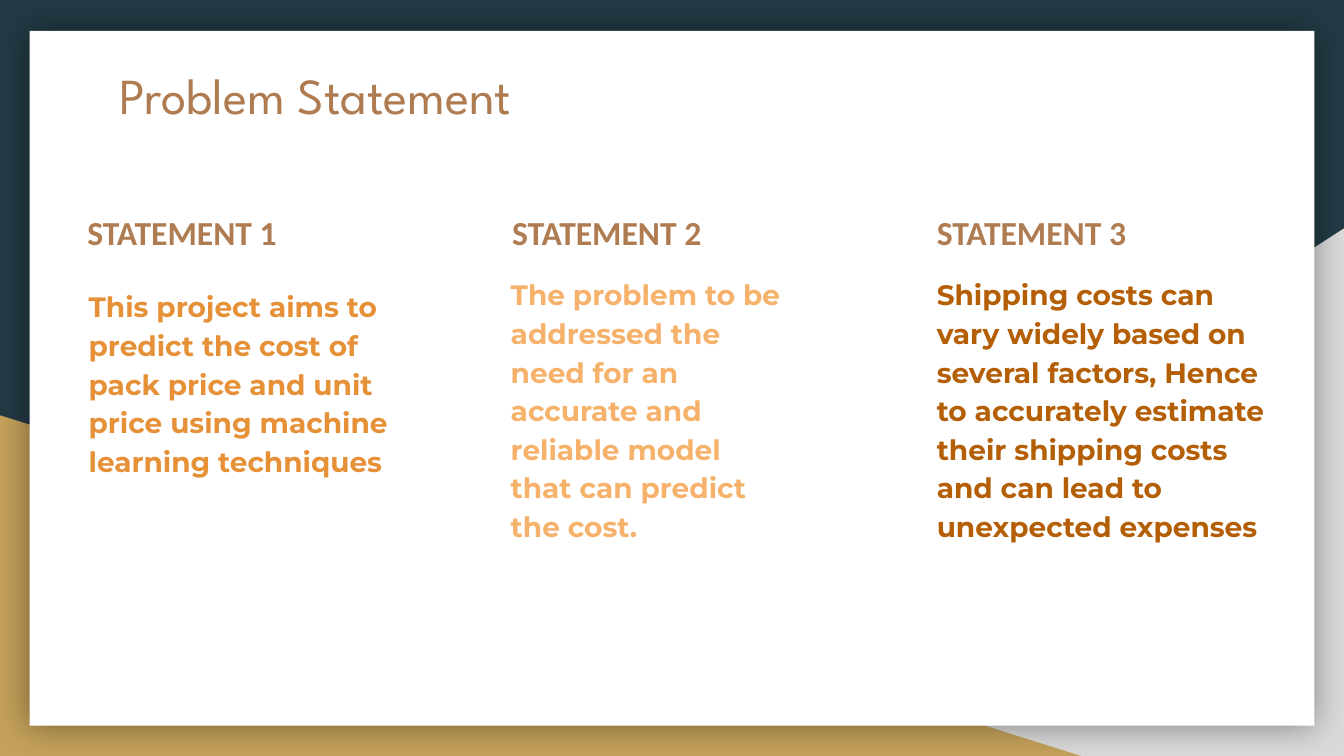
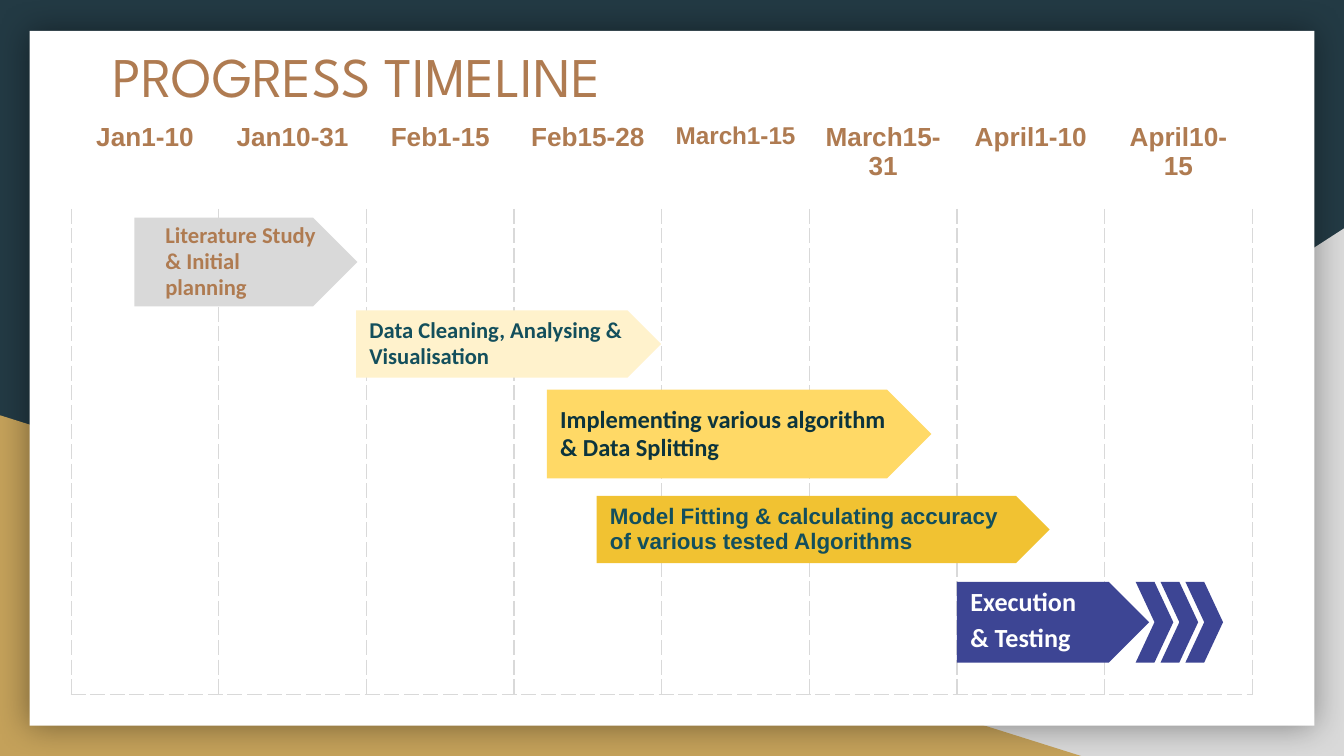
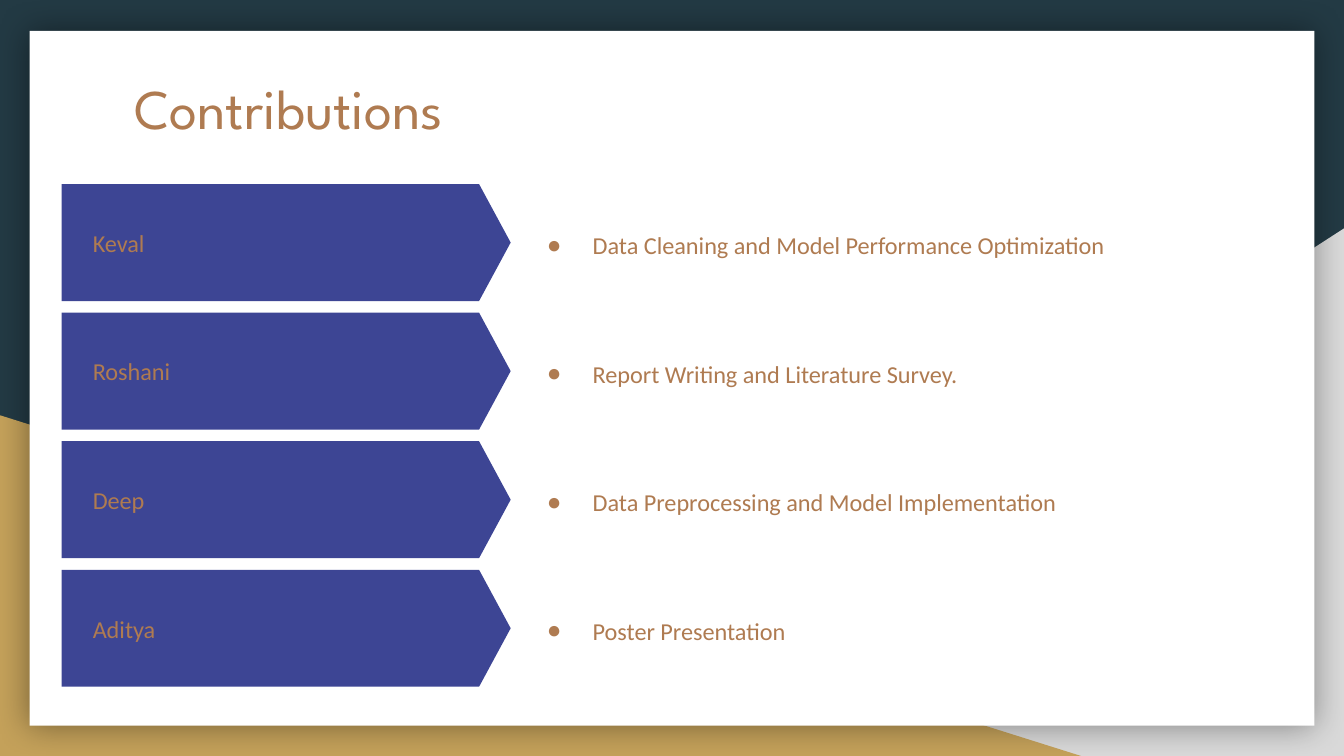
from copy import deepcopy

from lxml import etree
from pptx import Presentation
from pptx.dml import color
from pptx.enum import shapes, text
from pptx.oxml import ns, parse_xml
from pptx.util import Inches, Pt

BROWN, WHITE, GREY = "AF7B51", "FFFFFF", "D9D9D9"
INDIGO, TEAL, NAVY, GOLD = "3D4594", "134F5C", "233A44", "C4A15A"
TITLE_FONT, HEADING_FONT, STATEMENT_FONT, TABLE_FONT = (
    "League Spartan", "Calibri", "Montserrat", "Arial")
PLATE, CHEVRON = shapes.MSO_SHAPE.PENTAGON, shapes.MSO_SHAPE.CHEVRON
RECTANGLE, TRIANGLE = shapes.MSO_SHAPE.RECTANGLE, shapes.MSO_SHAPE.RIGHT_TRIANGLE
TOP, MIDDLE = text.MSO_ANCHOR.TOP, text.MSO_ANCHOR.MIDDLE
LEFT, CENTER = text.PP_ALIGN.LEFT, text.PP_ALIGN.CENTER
BODY_COUNT = 8


def rgb(value):
    return color.RGBColor.from_string(value)


def drawing(tag, content="", **attributes):
    attrs = "".join(f' {key}="{value}"' for key, value in attributes.items())
    return parse_xml(f'<a:{tag} {ns.nsdecls("a")}{attrs}>{content}</a:{tag}>')


def write(frame, words, size=13, font=HEADING_FONT, ink=BROWN, bold=False,
          align=LEFT, anchor=TOP, spacing=1.0, after=0, margin=0, hanging=0, bullet=None):
    frame.word_wrap = True
    frame.auto_size = text.MSO_AUTO_SIZE.NONE
    frame.vertical_anchor = anchor
    frame.margin_left = frame.margin_right = Inches(0.1)
    frame.margin_top = frame.margin_bottom = Inches(0.1)
    paragraph = frame.paragraphs[0]
    paragraph.alignment = align
    paragraph.line_spacing = spacing
    paragraph.space_before, paragraph.space_after = Pt(0), Pt(after)
    run = paragraph.add_run()
    run.text = words
    run.font.name, run.font.size, run.font.bold = font, Pt(size), bold
    run.font.color.rgb = rgb(ink)
    properties = paragraph._p.get_or_add_pPr()
    properties.set("marL", str(Inches(margin)))
    properties.set("indent", str(Inches(hanging)))
    if bullet:
        properties.append(drawing("buClr", f'<a:srgbClr val="{ink}"/>'))
        properties.append(drawing("buChar", char=bullet))
    else:
        properties.append(drawing("buNone"))


def place(shape, left, top, width, height):
    shape.left, shape.top = Inches(left), Inches(top)
    shape.width, shape.height = Inches(width), Inches(height)


def add_block(slide, kind, box, fill=None, line=None, adjust=None):
    block = slide.shapes.add_shape(kind, *map(Inches, box))
    block.shadow.inherit = False
    if fill:
        block.fill.solid()
        block.fill.fore_color.rgb = rgb(fill)
    else:
        block.fill.background()
    if line:
        block.line.color.rgb = rgb(line)
        block.line.width = Pt(0.75)
    else:
        block.line.fill.background()
    if adjust:
        block.adjustments[0] = adjust
    return block


def fill_placeholder(slide, placeholder, box, words, **style):
    slide.shapes.element.append(placeholder.element)
    place(placeholder, *box)
    write(placeholder.text_frame, words, **style)


def add_title(slide, box, words, size=30):
    fill_placeholder(slide, slide.shapes.title, box, words, size=size, font=TITLE_FONT)


def add_body(slide, box, words, **style):
    unused = next(p for p in slide.placeholders
                  if p.placeholder_format.idx and not p.text_frame.text)
    fill_placeholder(slide, unused, box, words, **style)


def remove_unused(slide):
    for placeholder in list(slide.placeholders):
        if not placeholder.text_frame.text:
            slide.shapes.element.remove(placeholder.element)


def prepare_layout(layout):
    first = next(p for p in layout.placeholders if p.placeholder_format.idx == 1)
    first.element.find(".//" + ns.qn("p:ph")).set("type", "body")
    for number in range(BODY_COUNT - 1):
        extra = deepcopy(first.element)
        extra.nvSpPr.cNvPr.set("id", str(50 + number))
        extra.find(".//" + ns.qn("p:ph")).set("idx", str(20 + number))
        layout.shapes.element.append(extra)


def decorate_master(master, slide):
    master.background.fill.solid()
    master.background.fill.fore_color.rgb = rgb(NAVY)
    grey_corner = add_block(slide, TRIANGLE, (3.92, 1.7, 6.08, 3.93), GREY)
    grey_corner.element.spPr.xfrm.set("flipH", "1")
    gold_corner = add_block(slide, TRIANGLE, (0, 3.09, 8.06, 2.54), GOLD)
    panel = add_block(slide, RECTANGLE, (0.22, 0.23, 9.56, 5.17), WHITE)
    shadow = etree.SubElement(panel.element.spPr.find(ns.qn("a:effectLst")),
                              ns.qn("a:outerShdw"), blurRad=str(Pt(18)), dist="0", dir="0")
    tint = etree.SubElement(shadow, ns.qn("a:srgbClr"), val="000000")
    etree.SubElement(tint, ns.qn("a:alpha"), val="40000")
    for number, part in enumerate((grey_corner, gold_corner, panel)):
        part.element.nvSpPr.cNvPr.set("id", str(80 + number))
        master.shapes.element.insert(2 + number, part.element)


def add_calendar(slide, periods):
    calendar = slide.shapes.add_table(
        2, len(periods), *map(Inches, (0.53, 0.81, 8.79, 4.36))).table
    calendar.first_row = calendar.horz_banding = False
    calendar.rows[0].height, calendar.rows[1].height = Inches(0.75), Inches(3.61)
    for column, (period, size) in enumerate(periods):
        heading, lane = calendar.cell(0, column), calendar.cell(1, column)
        heading.margin_left = heading.margin_right = Inches(0.1)
        heading.margin_top = heading.margin_bottom = Inches(0.1)
        heading.fill.solid()
        heading.fill.fore_color.rgb = rgb(WHITE)
        write_cell(heading, period, size)
        lane.fill.background()
        for position, side in enumerate(("lnL", "lnR", "lnB")):
            dashes = (f'<a:solidFill><a:srgbClr val="{GREY}"/></a:solidFill>'
                      '<a:prstDash val="dash"/>')
            lane._tc.get_or_add_tcPr().insert(position, drawing(side, dashes, w=Pt(0.75)))


def write_cell(cell, words, size):
    paragraph = cell.text_frame.paragraphs[0]
    paragraph.alignment = CENTER
    run = paragraph.add_run()
    run.text = words
    run.font.name, run.font.size, run.font.bold = TABLE_FONT, Pt(size), True
    run.font.color.rgb = rgb(BROWN)


def build_problem(slide):
    add_title(slide, (0.79, 0.38, 8.21, 0.76), "Problem Statement", size=27)
    statements = [
        ("This project aims to predict the cost of pack price and unit price using "
         "machine learning techniques", "E69138", (0.56, 2.02), 0),
        ("The problem to be addressed the need for an accurate and reliable model "
         "that can predict the cost.", "F6B26B", (3.2, 1.93), 0.5),
        ("Shipping costs can vary widely based on several factors, Hence to accurately "
         "estimate their shipping costs and can lead to unexpected expenses",
         "B45F06", (6.87, 1.93), 0),
    ]
    for number, (statement, ink, corner, margin) in enumerate(statements):
        left = 0.47 + 3.16 * number
        add_block(slide, RECTANGLE, (left, 1.43, 2.88, 0.51), WHITE)
        add_block(slide, RECTANGLE, (left, 1.43, 2.88, 3.74), line=WHITE)
        add_body(slide, (left + 0.08, 1.43, 2.73, 0.5), f"STATEMENT {number + 1}",
                 size=18, bold=True, spacing=1.15)
        add_body(slide, (*corner, 2.71, 3.06), statement, size=15, font=STATEMENT_FONT,
                 ink=ink, bold=True, spacing=1.15, after=12, margin=margin)


def build_timeline(slide):
    add_calendar(slide, [
        ("Jan1-10", 14), ("Jan10-31", 14), ("Feb1-15", 14), ("Feb15-28", 14),
        ("March1-15", 13), ("March15-31", 14), ("April1-10", 14), ("April10-15", 14)])
    add_title(slide, (0.74, 0.21, 8.21, 1.04), "PROGRESS TIMELINE")
    add_block(slide, PLATE, (1, 1.62, 1.66, 0.66), GREY)
    add_body(slide, (1.13, 1.56, 1.4, 0.55), "Literature Study & Initial planning",
             size=12.1, bold=True, spacing=0.95)
    phases = [
        ((2.65, 2.31, 2.27, 0.5), "FFF2CC", "Data Cleaning, Analysing & Visualisation",
         12.1, HEADING_FONT, TEAL),
        ((4.07, 2.9, 2.86, 0.66), "FFD966", "Implementing various algorithm & Data Splitting",
         13.1, HEADING_FONT, "0C343D"),
        ((4.44, 3.69, 3.37, 0.5), "F1C232",
         "Model Fitting & calculating accuracy of various tested Algorithms",
         12, TABLE_FONT, TEAL),
    ]
    for box, fill, phase, size, font, ink in phases:
        bar = add_block(slide, PLATE, box, fill)
        write(bar.text_frame, phase, size=size, font=font, ink=ink, bold=True,
              anchor=MIDDLE, spacing=0.95)
    add_block(slide, PLATE, (7.12, 4.33, 1.43, 0.6), INDIGO)
    for step in range(3):
        add_block(slide, CHEVRON, (8.45 + 0.185 * step, 4.33, 0.28, 0.6), INDIGO)
    add_body(slide, (7.12, 4.22, 1.15, 0.78), "Execution & Testing",
             size=14, ink=WHITE, bold=True, spacing=1.15)


def build_contributions(slide):
    add_title(slide, (0.9, 0.45, 8.21, 1.04), "Contributions")
    contributions = [
        ("Keval", "Data Cleaning and Model Performance Optimization"),
        ("Roshani", "Report Writing and Literature Survey."),
        ("Deep", "Data Preprocessing and Model Implementation"),
        ("Aditya", "Poster Presentation"),
    ]
    for row, (member, work) in enumerate(contributions):
        top = 1.37 + 2.87 / 3 * row
        add_block(slide, RECTANGLE, (3.2, top, 6.33, 0.87), WHITE)
        add_block(slide, PLATE, (0.46, top, 3.34, 0.87), INDIGO, adjust=0.27)
        add_body(slide, (0.59, top, 2.65, 0.87), member, anchor=MIDDLE)
        add_body(slide, (3.81, top, 5.59, 0.87), work, anchor=MIDDLE, spacing=1.15,
                 margin=0.5, hanging=-0.34, bullet="●")


def main():
    deck = Presentation()
    deck.slide_width = Inches(10)
    deck.slide_height = deck.slide_width * 9 // 16
    layout = deck.slide_layouts[1]
    prepare_layout(layout)
    problem, timeline, contributions = (deck.slides.add_slide(layout) for _ in range(3))
    decorate_master(deck.slide_master, problem)
    build_problem(problem)
    build_timeline(timeline)
    build_contributions(contributions)
    for slide in deck.slides:
        remove_unused(slide)
    deck.save("out.pptx")


if __name__ == "__main__":
    main()
